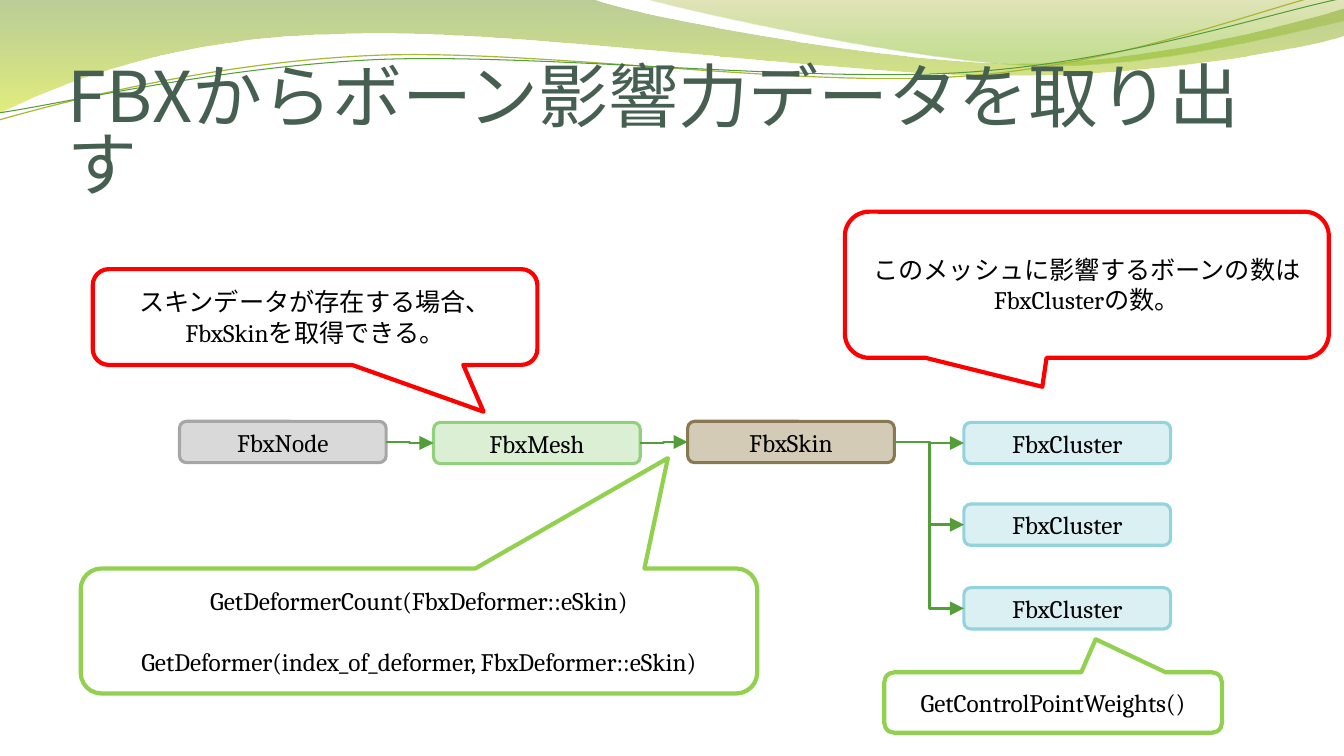
from lxml import etree
from pptx import Presentation
from pptx.dml.color import RGBColor
from pptx.enum.shapes import MSO_CONNECTOR as CONN, MSO_SHAPE as SHAPE
from pptx.enum.text import MSO_ANCHOR as ANCHOR, MSO_AUTO_SIZE as AUTO, PP_ALIGN as ALIGN
from pptx.oxml import parse_xml
from pptx.oxml.ns import nsdecls, qn
from pptx.util import Inches, Pt

BLACK = RGBColor(0x00, 0x00, 0x00)
TITLE_GREEN = RGBColor(0x45, 0x5F, 0x51)
ARROW_GREEN = RGBColor(0x54, 0x9E, 0x39)
OLIVE = RGBColor(0xA9, 0xB7, 0x33)
RED = RGBColor(0xFF, 0x00, 0x00)
LIME = RGBColor(0x92, 0xD0, 0x50)
NODE = RGBColor(0xD9, 0xD9, 0xD9), RGBColor(0xA6, 0xA6, 0xA6)
MESH = RGBColor(0xDB, 0xEF, 0xD4), RGBColor(0x93, 0xD0, 0x7D)
SKIN = RGBColor(0xD3, 0xCB, 0xB6), RGBColor(0x88, 0x79, 0x52)
CLUSTER = RGBColor(0xDB, 0xF0, 0xF3), RGBColor(0x92, 0xD3, 0xDC)
LATIN, ASIAN = "Cambria", "Noto Sans CJK JP"

TITLE = "FBXからボーン影響力データを取り出す"

# text, colours, top
CHAIN = [("FbxNode", NODE, 4.18), ("FbxMesh", MESH, 4.19), ("FbxSkin", SKIN, 4.18)]
CLUSTERS = [("FbxCluster", CLUSTER, top) for top in (4.19, 5, 5.83)]
LEFT, BOX_W, BOX_H = 1.78, 2.05, 0.41
COL_STEP, CLUSTER_LEFT = 2.52, 9.56

# paragraphs, (left, top, width, height), pointer tip (x, y), line colour, gap
CALLOUTS = [
    (["スキンデータが存在する場合、\nFbxSkinを取得できる。"],
     (0.92, 2.67, 4.41, 0.95), (0.379, 0.989), RED, 0),
    (["このメッシュに影響するボーンの数は", "FbxClusterの数。"],
     (8.38, 2.1, 4.8, 1.45), (-0.092, 0.698), RED, 0),
    (["GetDeformerCount(FbxDeformer::eSkin)",
      "GetDeformer(index_of_deformer, FbxDeformer::eSkin)"],
     (0.8, 5.64, 6.71, 1.24), (0.368, -1.383), LIME, 21.5),
    (["GetControlPointWeights()"],
     (8.77, 6.67, 3.35, 0.6), (0.126, -1.047), LIME, 0),
]

# A path is a start point, then line ends (x, y) or curves (x1, y1, x2, y2, x, y)
BANDS = [
    ([(0, 0), (5.87, -0.01), (6.34, 0.17, 8.84, 0.63, 10.11, 0.63),
      (11.37, 0.63, 12.77, 0.26, 13.33, 0.09), (13.34, 0.36),
      (13.11, 0.44, 11.59, 0.76, 9.94, 0.75),
      (8.29, 0.75, 5.09, 0.28, 3.43, 0.34),
      (1.72, 0.36, 0.61, 0.83, -0.02, 1.13)],
     [(0, "69921C", 45), (100, "CCE10F", 55)]),
    ([(6.38, -0.01), (6.79, 0.11, 9.09, 0.62, 10.25, 0.65),
      (11.4, 0.69, 12.82, 0.32, 13.33, 0.21), (13.33, 0)],
     [(0, "9BAA1A", 30), (80, "81BA16", 45)]),
]
STRANDS = [
    ([(-0.01, 1.19), (0.63, 1.01, 2.1, 0.62, 3.69, 0.55),
      (5.27, 0.48, 7.89, 0.87, 9.49, 0.76),
      (11.1, 0.66, 12.51, 0.08, 13.3, -0.1)], OLIVE, 0.85),
    ([(-0.01, 1.12), (0.62, 1.03, 2.18, 0.66, 3.77, 0.59),
      (5.37, 0.53, 7.96, 0.82, 9.55, 0.72),
      (11.14, 0.62, 12.55, 0.14, 13.33, -0.02)], ARROW_GREEN, 0.75),
]


def write(tf, paragraphs, size=18, color=BLACK, font=LATIN, align=ALIGN.CENTER,
          anchor=ANCHOR.MIDDLE, gap=0, spacing=None):
    tf.word_wrap, tf.auto_size, tf.vertical_anchor = True, AUTO.NONE, anchor
    for i, text in enumerate(paragraphs):
        p = tf.add_paragraph() if i else tf.paragraphs[0]
        p.text, p.alignment, p.line_spacing = text, align, spacing
        p.space_before = Pt(gap if i else 0)
        for r in p.runs:
            r.font.size, r.font.name, r.font.color.rgb = Pt(size), font, color
            ea = etree.SubElement(r.font._element, qn("a:ea"))
            ea.set("typeface", ASIAN)


def add_box(s, kind, place, line, weight, fill=None):
    sp = s.shapes.add_shape(kind, *map(Inches, place))
    sp.shadow.inherit = False
    sp.line.color.rgb, sp.line.width = line, Pt(weight)
    if fill is None:
        sp.fill.background()
    else:
        sp.fill.solid()
        sp.fill.fore_color.rgb = fill
    return sp


def add_node(s, text, colors, left, top):
    fill, line = colors
    sp = add_box(s, SHAPE.ROUNDED_RECTANGLE, (left, top, BOX_W, BOX_H), line, 2.25, fill)
    write(sp.text_frame, [text])
    return sp


def add_arrow(s, source, target):
    arrow = s.shapes.add_connector(CONN.ELBOW, 0, 0, 0, 0)
    arrow.begin_connect(source, 3)
    arrow.end_connect(target, 1)
    arrow.line.color.rgb, arrow.line.width = ARROW_GREEN, Pt(2)
    head = etree.SubElement(arrow.line._get_or_add_ln(), qn("a:tailEnd"))
    for key, value in (("type", "triangle"), ("w", "lg"), ("len", "lg")):
        head.set(key, value)
    etree.SubElement(arrow._element.spPr, qn("a:effectLst"))


def add_wave(s, path, closed):
    """Join the end points with lines, then bend the lines that are curves."""
    ends = [(Inches(part[-2]), Inches(part[-1])) for part in path]
    builder = s.shapes.build_freeform(*ends[0])
    builder.add_line_segments(ends[1:], close=closed)
    sp = builder.convert_to_shape()
    sp.shadow.inherit = False
    sp.fill.background()
    sp.line.fill.background()
    segments = list(sp._element.iter(qn("a:lnTo")))
    for segment, part in zip(segments, path[1:]):
        if len(part) == 6:
            curve = etree.Element(qn("a:cubicBezTo"))
            for x, y in zip(part[::2], part[1::2]):
                pt = etree.SubElement(curve, qn("a:pt"))
                pt.set("x", str(Inches(x) - sp.left))
                pt.set("y", str(Inches(y) - sp.top))
            segment.getparent().replace(segment, curve)
    return sp


def set_gradient(sp, stops):
    gs = "".join(f'<a:gs pos="{pos * 1000}"><a:srgbClr val="{color}">'
                 f'<a:alpha val="{alpha * 1000}"/></a:srgbClr></a:gs>'
                 for pos, color, alpha in stops)
    grad = parse_xml(f'<a:gradFill {nsdecls("a")}><a:gsLst>{gs}</a:gsLst>'
                     '<a:lin ang="5400000" scaled="0"/></a:gradFill>')
    spPr = sp._element.spPr
    spPr.replace(spPr.find(qn("a:noFill")), grad)


def main():
    prs = Presentation()
    prs.slide_width, prs.slide_height = Inches(13.33), Inches(7.5)
    s = prs.slides.add_slide(prs.slide_layouts[5])

    for path, stops in BANDS:
        set_gradient(add_wave(s, path, True), stops)
    for path, color, weight in STRANDS:
        strand = add_wave(s, path, False)
        strand.line.color.rgb, strand.line.width = color, Pt(weight)

    title = s.shapes.title
    s.shapes._spTree.append(title._element)  # bring in front of the waves
    title.left, title.top, title.width, title.height = map(Inches, (0.67, 0.77, 12, 1.25))
    tf = title.text_frame
    tf.margin_left = tf.margin_right = tf.margin_bottom = 0
    write(tf, [TITLE], size=50, color=TITLE_GREEN, font=ASIAN, align=ALIGN.LEFT,
          anchor=ANCHOR.BOTTOM, spacing=0.8)

    chain = [add_node(s, text, colors, LEFT + i * COL_STEP, top)
             for i, (text, colors, top) in enumerate(CHAIN)]
    clusters = [add_node(s, text, colors, CLUSTER_LEFT, top)
                for text, colors, top in CLUSTERS]
    links = list(zip(chain, chain[1:])) + [(chain[-1], c) for c in clusters]
    for source, target in links:
        add_arrow(s, source, target)

    for paragraphs, place, tip, color, gap in CALLOUTS:
        sp = add_box(s, SHAPE.ROUNDED_RECTANGULAR_CALLOUT, place, color, 3)
        sp.adjustments[0], sp.adjustments[1] = tip
        write(sp.text_frame, paragraphs, gap=gap)

    prs.save("out.pptx")


if __name__ == "__main__":
    main()
